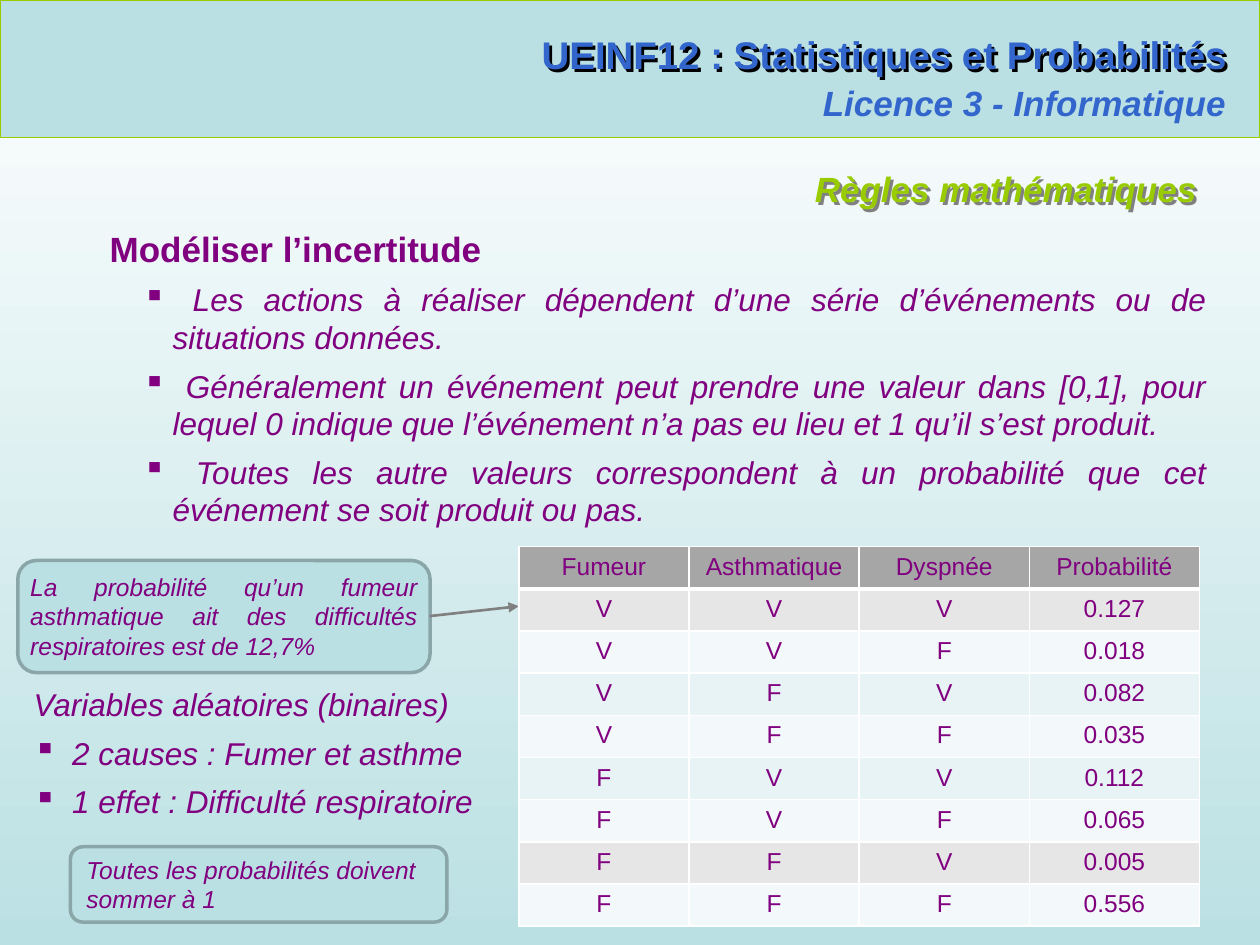
from lxml.etree import SubElement
from pptx import Presentation
from pptx.dml.color import RGBColor
from pptx.enum.shapes import MSO_CONNECTOR, MSO_SHAPE
from pptx.enum.text import MSO_ANCHOR, PP_ALIGN
from pptx.oxml import parse_xml
from pptx.oxml.ns import nsdecls, qn
from pptx.util import Cm, Pt

COLORS = {
    "blue": "3366CC", "green": "99CC00", "purple": "800080", "aqua": "BBE0E3",
    "frame": "8AA6A8", "gray": "808080", "white": "FFFFFF", "black": "000000",
    "head": "A6A6A6", "marked": "E6E6E6", "light": "F3F9FA", "tint": "E7F3F4",
}
RGB = {name: RGBColor.from_string(value) for name, value in COLORS.items()}


def write(para, text, size, color, align, bold=False, italic=False, after=0):
    para.text = text
    para.alignment = align
    para.space_before, para.space_after = Pt(0), Pt(after)
    font = para.font
    font.name, font.size, font.bold, font.italic = "Arial", Pt(size), bold, italic
    font.color.rgb = RGB[color]


def add_bullet(para, margin, hanging):
    props = para._p.get_or_add_pPr()
    props.set("marL", str(Cm(margin)))
    props.set("indent", str(-Cm(hanging)))
    bullet = parse_xml(f'<a:buChar {nsdecls("a")} char="▪"/>')
    props.insert_element_before(bullet, "a:tabLst", "a:defRPr", "a:extLst")


deck = Presentation()
deck.slide_width, deck.slide_height = Cm(25.4), Cm(19.05)
page = deck.slides.add_slide(deck.slide_layouts[5])

backdrop = page.background.fill
backdrop.gradient()
backdrop.gradient_angle = 270
for stop, color, position in zip(backdrop.gradient_stops, ("white", "aqua"), (0, 1)):
    stop.color.rgb = RGB[color]
    stop.position = position

frames = {}
for name, kind, place, line, width in [
    ("banner", MSO_SHAPE.RECTANGLE, (0, 0, 25.4, 2.77), "green", 0.75),
    ("example", MSO_SHAPE.ROUNDED_RECTANGLE, (0.36, 11.3, 8.31, 2.26), "frame", 2),
    ("total", MSO_SHAPE.ROUNDED_RECTANGLE, (1.42, 17.07, 7.59, 1.52), "frame", 2),
]:
    shape = page.shapes.add_shape(kind, *map(Cm, place))
    shape.shadow.inherit = False
    shape.fill.solid()
    shape.fill.fore_color.rgb = RGB["aqua"]
    shape.line.color.rgb = RGB[line]
    shape.line.width = Pt(width)
    frames[name] = shape

total = frames["total"].text_frame
total.vertical_anchor = MSO_ANCHOR.MIDDLE
write(total.paragraphs[0], "Toutes les probabilités doivent sommer à 1", 14, "purple",
      PP_ALIGN.LEFT, italic=True)

for start, end, color, width, arrow in [
    ((0.86, 2.77), (24.79, 2.77), "green", 0.75, False),
    ((8.66, 12.42), (10.46, 12.22), "gray", 1.5, True),
]:
    line = page.shapes.add_connector(MSO_CONNECTOR.STRAIGHT, *map(Cm, start + end))
    line.line.color.rgb = RGB[color]
    line.line.width = Pt(width)
    if arrow:
        SubElement(line.line._get_or_add_ln(), qn("a:tailEnd"), type="triangle")
    SubElement(line._element.spPr, qn("a:effectLst"))

title = page.shapes.title
title.left, title.top, title.width, title.height = map(Cm, (5.51, 3.25, 18.87, 1.12))
title.text_frame.vertical_anchor = MSO_ANCHOR.TOP
write(title.text_frame.paragraphs[0], "Règles mathématiques", 20, "green",
      PP_ALIGN.RIGHT, bold=True, italic=True)

course = page.shapes.add_textbox(*map(Cm, (10.26, 0.51, 14.73, 1.19)))
write(course.text_frame.paragraphs[0], "UEINF12 : Statistiques et Probabilités", 22,
      "blue", PP_ALIGN.RIGHT, bold=True)
degree = page.shapes.add_textbox(*map(Cm, (16.28, 1.52, 8.69, 1.12)))
write(degree.text_frame.paragraphs[0], "Licence 3 - Informatique", 20, "blue",
      PP_ALIGN.RIGHT, bold=True, italic=True)

for box, color in ((course, "black"), (title, "gray")):
    effects = SubElement(box._element.spPr, qn("a:effectLst"))
    shadow = SubElement(effects, qn("a:outerShdw"), dist=str(Cm(0.08)), dir="2700000")
    SubElement(shadow, qn("a:srgbClr"), val=COLORS[color])

body = page.shapes.add_textbox(*map(Cm, (1.96, 4.47, 22.61, 6.38))).text_frame
body.word_wrap = True
write(body.paragraphs[0], "Modéliser l’incertitude", 20, "purple", PP_ALIGN.JUSTIFY,
      bold=True, after=6)
for text in [
    " Les actions à réaliser dépendent d’une série d’événements ou de situations données.",
    " Généralement un événement peut prendre une valeur dans [0,1], pour lequel 0 indique "
    "que l’événement n’a pas eu lieu et 1 qu’il s’est produit.",
    " Toutes les autre valeurs correspondent à un probabilité que cet événement se soit "
    "produit ou pas.",
]:
    para = body.add_paragraph()
    para.level = 1
    write(para, text, 18, "purple", PP_ALIGN.JUSTIFY, italic=True, after=6)
    add_bullet(para, 1.27, 0.6)

variables = page.shapes.add_textbox(*map(Cm, (0.43, 13.69, 10.06, 3))).text_frame
variables.word_wrap = True
write(variables.paragraphs[0], "Variables aléatoires (binaires)", 18, "purple",
      PP_ALIGN.JUSTIFY, italic=True, after=6)
for text in (" 2 causes : Fumer et asthme", " 1 effet : Difficulté respiratoire"):
    para = variables.add_paragraph()
    write(para, text, 18, "purple", PP_ALIGN.JUSTIFY, italic=True, after=6)
    add_bullet(para, 0.6, 0.6)

example = page.shapes.add_textbox(*map(Cm, (0.36, 11.4, 8.31, 2.06))).text_frame
example.word_wrap = True
write(example.paragraphs[0],
      "La probabilité qu’un fumeur asthmatique ait des difficultés respiratoires est de 12,7%",
      14, "purple", PP_ALIGN.JUSTIFY, italic=True, after=6)

rows = [
    ("head", "Fumeur", "Asthmatique", "Dyspnée", "Probabilité"),
    ("marked", "V", "V", "V", "0.127"),
    ("light", "V", "V", "F", "0.018"),
    ("tint", "V", "F", "V", "0.082"),
    ("light", "V", "F", "F", "0.035"),
    ("tint", "F", "V", "V", "0.112"),
    ("light", "F", "V", "F", "0.065"),
    ("marked", "F", "F", "V", "0.005"),
    ("light", "F", "F", "F", "0.556"),
]
table = page.shapes.add_table(len(rows), 4, Cm(10.46), Cm(11.02), Cm(13.74), Cm(7.62)).table
table.first_row = table.horz_banding = False
for column in table.columns:
    column.width = Cm(3.43)
for index, (color, *texts) in enumerate(rows):
    table.rows[index].height = Cm(0.85)
    widths = {"L": 1, "R": 1, "T": 3 if index == 1 else 1, "B": 3 if index == 0 else 1}
    for cell, text in zip(table.rows[index].cells, texts):
        write(cell.text_frame.paragraphs[0], text, 14, "purple", PP_ALIGN.CENTER)
        props = cell._tc.get_or_add_tcPr()
        for side, width in widths.items():
            border = SubElement(props, qn(f"a:ln{side}"), w=str(Pt(width)))
            solid = SubElement(border, qn("a:solidFill"))
            SubElement(solid, qn("a:srgbClr"), val=COLORS["white"])
        cell.fill.solid()
        cell.fill.fore_color.rgb = RGB[color]

deck.save("out.pptx")
